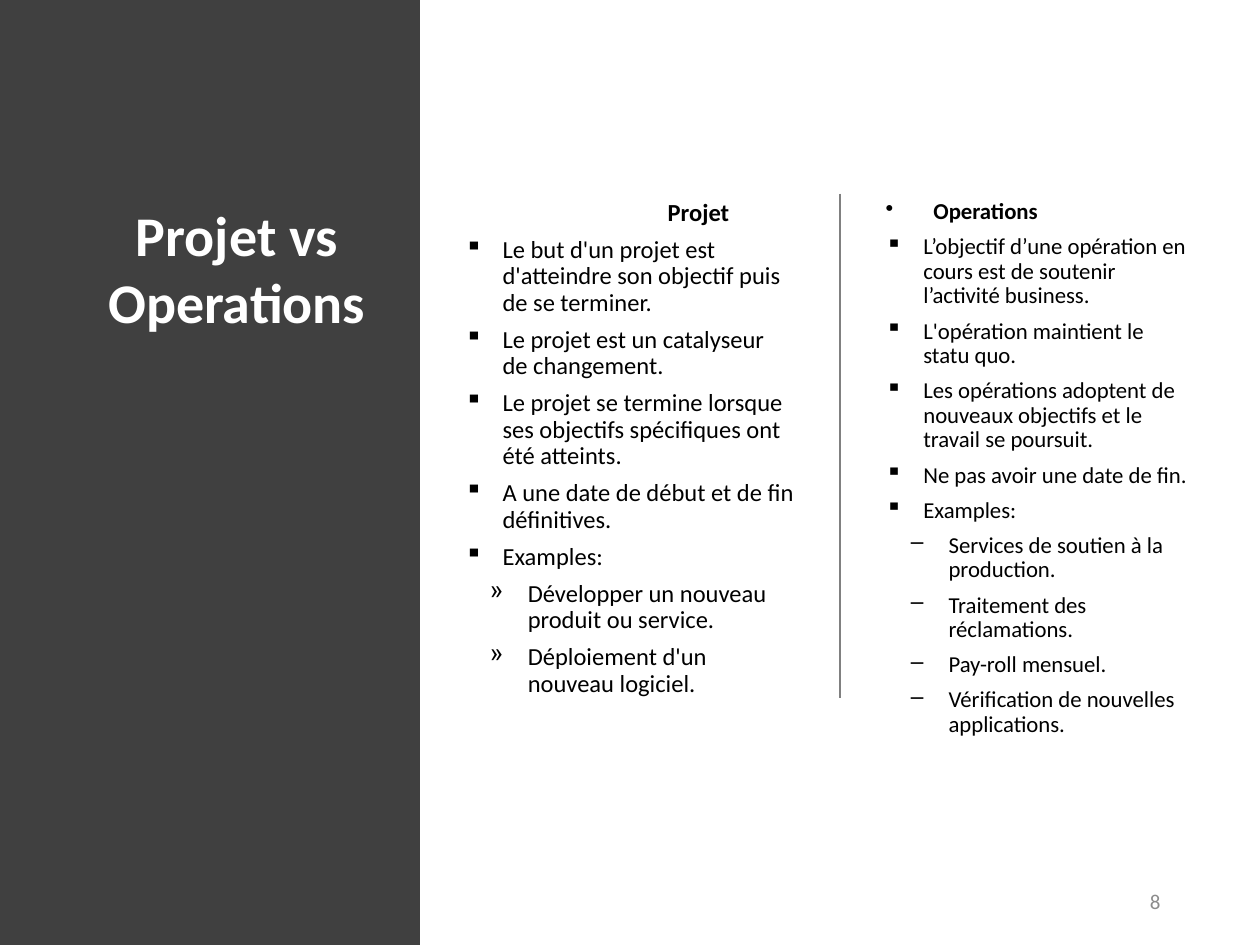
from dataclasses import dataclass
from typing import Any

from lxml.etree import SubElement
from pptx import Presentation
from pptx.dml.color import RGBColor
from pptx.enum.shapes import MSO_CONNECTOR, MSO_SHAPE
from pptx.enum.text import MSO_ANCHOR, MSO_AUTO_SIZE, PP_ALIGN
from pptx.oxml.ns import qn
from pptx.util import Inches, Pt


@dataclass(frozen=True)
class Theme:
    """Colours, font and type sizes."""
    panel: RGBColor = RGBColor(0x40, 0x40, 0x40)
    rule: RGBColor = RGBColor(0x80, 0x80, 0x80)
    text: RGBColor = RGBColor(0, 0, 0)
    light: RGBColor = RGBColor(0xFF, 0xFF, 0xFF)
    muted: RGBColor = RGBColor(0x8C, 0x8C, 0x8C)
    font: str = "Calibri"
    title: int = 32
    left: int = 14
    right: int = 13
    number: int = 12


@dataclass(frozen=True)
class Box:
    """A place given as shares of the slide's size."""
    x: float
    y: float
    w: float
    h: float

    def place(self) -> dict[str, int]:
        """Turn the shares into lengths."""
        return {"left": int(WIDE * self.x), "top": int(HIGH * self.y),
                "width": int(WIDE * self.w), "height": int(HIGH * self.h)}


@dataclass(frozen=True)
class Style:
    """Level, indent in inches and bullet of a paragraph."""
    level: int
    margin: float
    hang: float
    mark: str = ""


@dataclass(frozen=True)
class Column:
    """A heading with its points and examples."""
    box: Box
    size: int
    head: tuple[str, Style]
    points: tuple[str, ...]
    cases: tuple[str, ...]
    sub: Style


WIDE, HIGH = Inches(10), Inches(7.5)
THEME = Theme()
TOP, TALL = 0.205, 0.636
POINT = Style(0, 0.3, 0.3, "▪")

COLUMNS = (
    Column(
        Box(0.359, TOP, 0.281, TALL), THEME.left,
        ("Projet", Style(8, 1.61, 0)),
        ("Le but d'un projet est d'atteindre son objectif puis de se terminer.",
         "Le projet est un catalyseur de changement.",
         "Le projet se termine lorsque ses objectifs spécifiques ont été atteints.",
         "A une date de début et de fin définitives.",
         "Examples:"),
        ("Développer un nouveau produit ou service.",
         "Déploiement d'un nouveau logiciel."),
        Style(4, 0.5, 0.3, "»")),
    Column(
        Box(0.693, TOP, 0.262, TALL), THEME.right,
        ("Operations", Style(0, 0.38, 0.38, "•")),
        ("L’objectif d’une opération en cours est de soutenir l’activité business.",
         "L'opération maintient le statu quo.",
         "Les opérations adoptent de nouveaux objectifs et le travail se poursuit.",
         "Ne pas avoir une date de fin.",
         "Examples:"),
        ("Services de soutien à la production.",
         "Traitement des réclamations.",
         "Pay-roll mensuel.",
         "Vérification de nouvelles applications."),
        Style(3, 0.5, 0.3, "–")),
)


def apply(item: Any, values: dict[str, Any]) -> None:
    """Set each named attribute on an item."""
    for name, value in values.items():
        setattr(item, name, value)


def write(para: Any, text: str, size: int, color: RGBColor, bold: bool = False) -> None:
    """Put one formatted run in a paragraph."""
    run = para.add_run()
    run.text = text
    apply(run.font, {"name": THEME.font, "size": Pt(size), "bold": bold})
    run.font.color.rgb = color


def indent(para: Any, style: Style) -> None:
    """Give a paragraph its level, indent and bullet."""
    para.level = style.level
    props = para._p.get_or_add_pPr()
    props.set("marL", str(Inches(style.margin)))
    props.set("indent", str(-Inches(style.hang)))
    if style.mark:
        SubElement(props, qn("a:buChar")).set("char", style.mark)
    else:
        SubElement(props, qn("a:buNone"))


def frame(shape: Any, anchor: Any = MSO_ANCHOR.TOP) -> Any:
    """Prepare the text frame of a shape."""
    area = shape.text_frame
    apply(area, {"word_wrap": True, "auto_size": MSO_AUTO_SIZE.NONE,
                 "vertical_anchor": anchor})
    return area


def draw_panel(slide: Any, box: Box) -> None:
    """Draw the dark panel behind the title."""
    panel = slide.shapes.add_shape(MSO_SHAPE.RECTANGLE, **box.place())
    panel.shadow.inherit = False
    panel.fill.solid()
    panel.fill.fore_color.rgb = THEME.panel
    panel.line.fill.background()
    slide.shapes._spTree.insert(2, panel._element)


def draw_title(slide: Any, box: Box, text: str) -> None:
    """Place and fill the title."""
    title = slide.shapes.title
    apply(title, box.place())
    para = frame(title).paragraphs[0]
    para.alignment = PP_ALIGN.CENTER
    write(para, text, THEME.title, THEME.light, True)


def draw_column(slide: Any, column: Column) -> None:
    """Draw one side of the contrast."""
    area = frame(slide.shapes.add_textbox(**column.box.place()))
    rows = [column.head]
    rows += [(text, POINT) for text in column.points]
    rows += [(text, column.sub) for text in column.cases]
    for order, (text, style) in enumerate(rows):
        para = area.add_paragraph() if order else area.paragraphs[0]
        indent(para, style)
        apply(para, {"line_spacing": 0.9, "space_before": Pt(6 if order else 0)})
        write(para, text, column.size, THEME.text, not order)


def draw_rule(slide: Any, x: float, top: float, end: float) -> None:
    """Draw the line between the columns."""
    rule = slide.shapes.add_connector(
        MSO_CONNECTOR.STRAIGHT, int(WIDE * x), int(HIGH * top),
        int(WIDE * x), int(HIGH * end))
    rule.line.color.rgb = THEME.rule
    rule.line.width = Pt(1)
    SubElement(rule._element.spPr, qn("a:effectLst"))


def draw_number(slide: Any, box: Box, text: str) -> None:
    """Write the slide number."""
    area = frame(slide.shapes.add_textbox(**box.place()), MSO_ANCHOR.MIDDLE)
    para = area.paragraphs[0]
    apply(para, {"alignment": PP_ALIGN.RIGHT, "space_after": Pt(6)})
    write(para, text, THEME.number, THEME.muted)


def main() -> None:
    """Build and save the slide."""
    deck = Presentation()
    apply(deck, {"slide_width": WIDE, "slide_height": HIGH})
    slide = deck.slides.add_slide(deck.slide_layouts[5])
    draw_panel(slide, Box(0, 0, 1 / 3, 1))
    draw_title(slide, Box(0.069, TOP, 0.238, TALL), "Projet vs Operations")
    draw_rule(slide, 2 / 3, TOP, 0.739)
    for column in COLUMNS:
        draw_column(slide, column)
    draw_number(slide, Box(0.755, 0.927, 0.176, 0.053), "8")
    deck.save("out.pptx")


if __name__ == "__main__":
    main()
